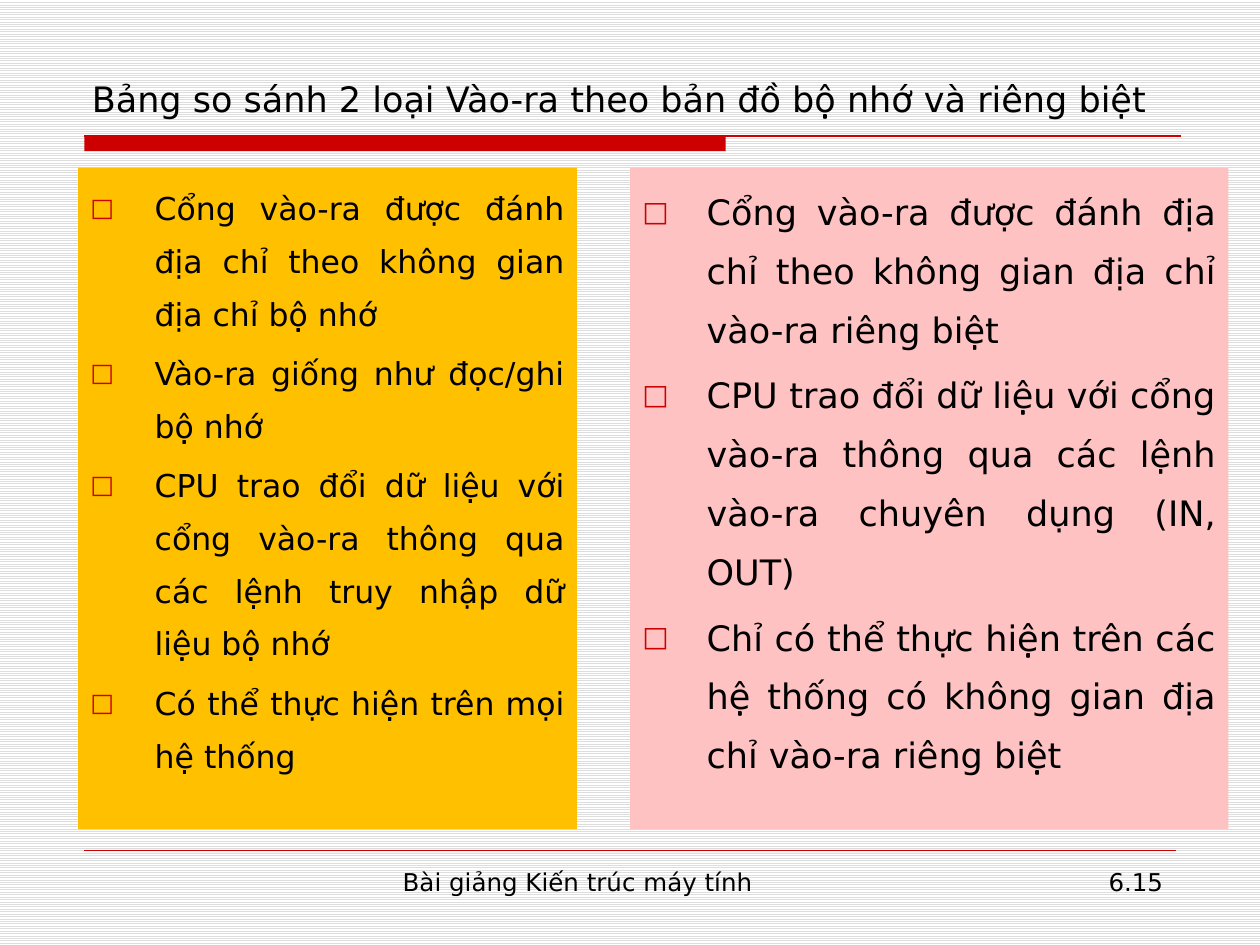
from lxml import etree
from pptx import Presentation
from pptx.dml.color import RGBColor
from pptx.enum.dml import MSO_PATTERN
from pptx.enum.shapes import MSO_CONNECTOR, MSO_SHAPE
from pptx.enum.text import MSO_ANCHOR, PP_ALIGN
from pptx.oxml.ns import qn
from pptx.util import Inches, Pt

LEFT, CENTER, RIGHT, JUSTIFY = PP_ALIGN.LEFT, PP_ALIGN.CENTER, PP_ALIGN.RIGHT, PP_ALIGN.JUSTIFY
TOP, BOTTOM = MSO_ANCHOR.TOP, MSO_ANCHOR.BOTTOM
RECTANGLE = MSO_SHAPE.RECTANGLE
STRAIGHT = MSO_CONNECTOR.STRAIGHT
LIGHT_HORIZONTAL = MSO_PATTERN.LIGHT_HORIZONTAL


def color(value):
    return RGBColor.from_string(value)


class SlideBuilder:
    font = "DejaVu Sans"
    ink = "000000"
    accent = "CC0000"
    indent = 0.51
    line_spacing = 1.4

    def __init__(self, slide):
        self.slide = slide

    def background(self, foreground, background):
        fill = self.slide.background.fill
        fill.patterned()
        fill.pattern = LIGHT_HORIZONTAL
        fill.fore_color.rgb = color(foreground)
        fill.back_color.rgb = color(background)

    def rectangle(self, left, top, width, height, fill):
        shape = self.slide.shapes.add_shape(
            RECTANGLE, Inches(left), Inches(top), Inches(width), Inches(height))
        shape.shadow.inherit = False
        shape.fill.solid()
        shape.fill.fore_color.rgb = color(fill)
        shape.line.fill.background()
        return shape

    def rule(self, left, right, y, weight):
        line = self.slide.shapes.add_connector(
            STRAIGHT, Inches(left), Inches(y), Inches(right), Inches(y))
        line.line.color.rgb = color(self.accent)
        line.line.width = Pt(weight)
        etree.SubElement(line._element.spPr, qn("a:effectLst"))

    def run(self, paragraph, text, size):
        run = paragraph.add_run()
        run.text = text
        run.font.name = self.font
        run.font.size = Pt(size)
        run.font.color.rgb = color(self.ink)

    def text(self, left, top, width, height, text, size, align=LEFT, anchor=TOP):
        box = self.slide.shapes.add_textbox(
            Inches(left), Inches(top), Inches(width), Inches(height))
        frame = box.text_frame
        frame.word_wrap = True
        frame.vertical_anchor = anchor
        paragraph = frame.paragraphs[0]
        paragraph.alignment = align
        self.run(paragraph, text, size)

    def bullet(self, paragraph):
        properties = paragraph._p.get_or_add_pPr()
        properties.set("marL", str(Inches(self.indent)))
        properties.set("indent", str(-Inches(self.indent)))
        bullet_color = etree.SubElement(properties, qn("a:buClr"))
        etree.SubElement(bullet_color, qn("a:srgbClr"), val=self.accent)
        etree.SubElement(properties, qn("a:buSzPct"), val="80000")
        etree.SubElement(properties, qn("a:buFont"), typeface=self.font)
        etree.SubElement(properties, qn("a:buChar"), char="□")

    def panel(self, left, top, width, height, fill, items, size):
        frame = self.rectangle(left, top, width, height, fill).text_frame
        frame.word_wrap = True
        frame.vertical_anchor = TOP
        for index, item in enumerate(items):
            paragraph = frame.add_paragraph() if index else frame.paragraphs[0]
            paragraph.alignment = JUSTIFY
            paragraph.line_spacing = self.line_spacing
            paragraph.space_before = Pt(0.2 * size)
            self.bullet(paragraph)
            self.run(paragraph, item, size)


def main():
    presentation = Presentation()
    presentation.slide_width = Inches(10)
    presentation.slide_height = Inches(7.5)
    builder = SlideBuilder(presentation.slides.add_slide(presentation.slide_layouts[6]))
    builder.background("DDDDDD", "FFFFFF")

    # Title with its bar and rule
    builder.rectangle(0.67, 1.08, 5.09, 0.12, builder.accent)
    builder.rule(0.67, 9.37, 1.08, 0.75)
    builder.text(0.63, 0.33, 8.75, 0.67,
                 "Bảng so sánh 2 loại Vào-ra theo bản đồ bộ nhớ và riêng biệt",
                 20, anchor=BOTTOM)

    # Footer
    builder.rule(0.67, 9.33, 6.75, 0.25)
    builder.text(3, 6.83, 3.17, 0.52, "Bài giảng Kiến trúc máy tính", 14, CENTER)
    builder.text(8.08, 6.83, 1.25, 0.52, "6.15", 14, RIGHT)

    # Memory-mapped input/output
    builder.panel(0.62, 1.33, 3.96, 5.25, "FFC000", [
        "Cổng vào-ra được đánh địa chỉ theo không gian địa chỉ bộ nhớ",
        "Vào-ra giống như đọc/ghi bộ nhớ",
        "CPU trao đổi dữ liệu với cổng vào-ra thông qua các lệnh truy nhập dữ liệu bộ nhớ",
        "Có thể thực hiện trên mọi hệ thống",
    ], 18)

    # Isolated input/output
    builder.panel(5, 1.33, 4.75, 5.25, "FFC2C2", [
        "Cổng vào-ra được đánh địa chỉ theo không gian địa chỉ vào-ra riêng biệt",
        "CPU trao đổi dữ liệu với cổng vào-ra thông qua các lệnh vào-ra chuyên dụng (IN, OUT)",
        "Chỉ có thể thực hiện trên các hệ thống có không gian địa chỉ vào-ra riêng biệt",
    ], 20)

    presentation.save("out.pptx")


if __name__ == "__main__":
    main()
